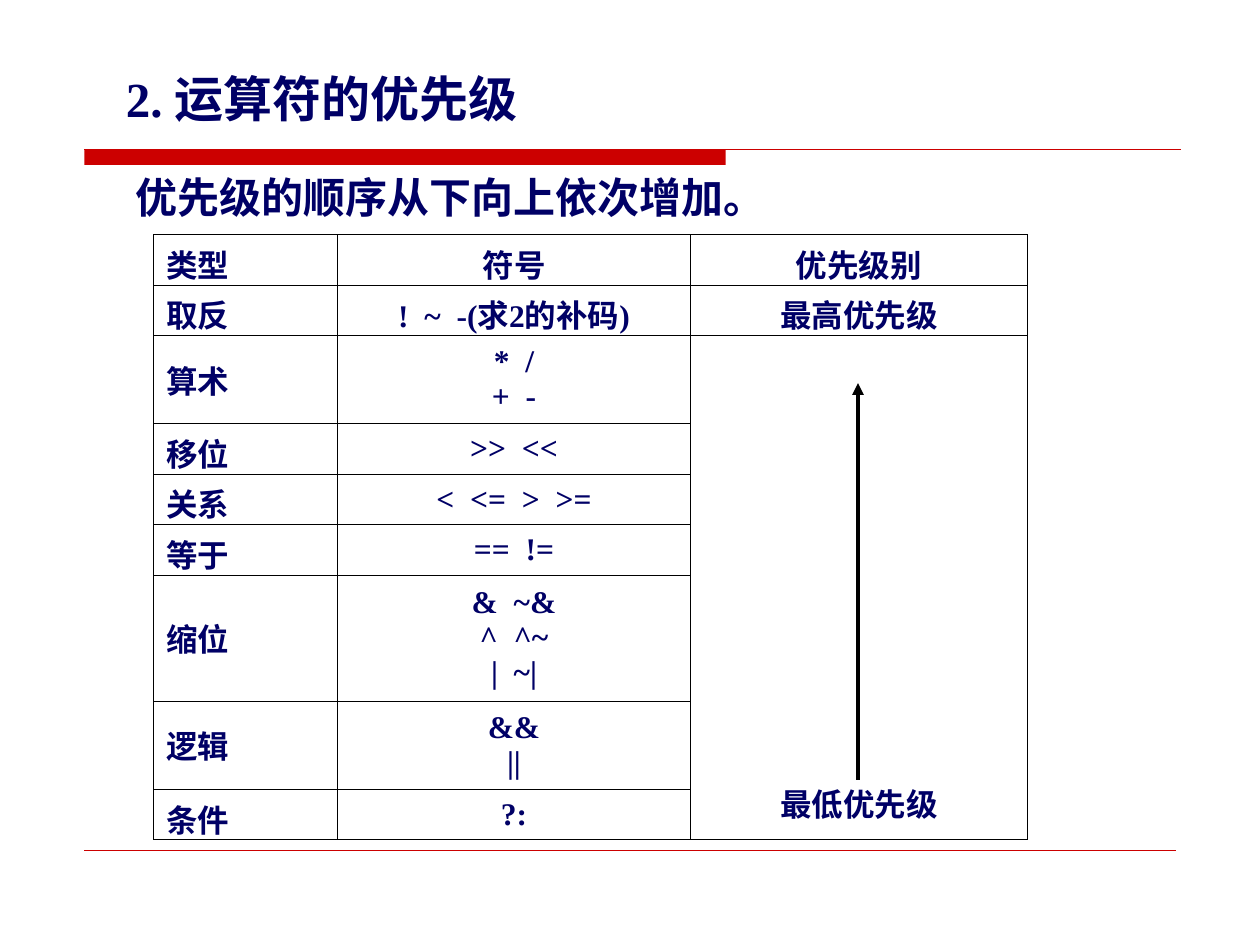
"""Build a slide with a table of operator precedence."""
from dataclasses import dataclass

import lxml.etree
import pptx
import pptx.dml.color
import pptx.enum.shapes
import pptx.enum.text
import pptx.oxml.ns
import pptx.util

Pt = pptx.util.Pt
Align = pptx.enum.text.PP_ALIGN
Anchor = pptx.enum.text.MSO_ANCHOR
qn = pptx.oxml.ns.qn

COLORS = {"navy": "000066", "red": "CC0000", "black": "000000"}
FONT = "Times New Roman"
COLUMN_WIDTHS = (105, 201.75, 192.25)
BORDER_WIDTH = 0.45
WIDE_SPACE = 4.5


@dataclass(frozen=True)
class OperatorRow:
    kind: str
    symbols: tuple[str, ...]
    height: float = 28.8
    level: str = ""
    kind_anchor: Anchor = Anchor.MIDDLE
    symbol_anchor: Anchor = Anchor.MIDDLE


@dataclass(frozen=True)
class Rule:
    start: tuple[float, float]
    end: tuple[float, float]
    color: str
    width: float
    arrow: bool = False


ROWS = (
    OperatorRow("类型", ("符号",), level="优先级别", kind_anchor=Anchor.TOP, symbol_anchor=Anchor.TOP),
    OperatorRow("取反", ("! ~ -(求2的补码)",), level="最高优先级", kind_anchor=Anchor.TOP),
    OperatorRow("算术", ("* /", "+ -"), 50.4, level="最低优先级"),
    OperatorRow("移位", (">> <<",)),
    OperatorRow("关系", ("< <= > >=",)),
    OperatorRow("等于", ("== !=",)),
    OperatorRow("缩位", ("& ~&", "^ ^~", "| ~|"), 72),
    OperatorRow("逻辑", ("&&", "||"), 50.4),
    OperatorRow("条件", ("?:",)),
)
RULES = (
    Rule((48.25, 85.5), (674.65, 85.5), "red", 0.75),
    Rule((48.25, 486), (671.75, 486), "red", 0.25),
)
ARROW = Rule((490.3, 445.7), (490.3, 218.9), "black", 2.25, arrow=True)


def rgb(name: str) -> pptx.dml.color.RGBColor:
    """Return the named colour."""
    return pptx.dml.color.RGBColor.from_string(COLORS[name])


def add_span(para, text: str, size: float, spacing: float = 0) -> None:
    """Append one formatted span to a paragraph."""
    span = para.add_run()
    span.text = text
    span.font.name, span.font.size, span.font.bold = FONT, Pt(size), True
    span.font.color.rgb = rgb("navy")
    if spacing:
        span.font._element.set("spc", str(round(spacing * 100)))


def write(frame, *lines: str, size: float = 18, align: Align = Align.LEFT, space: float = 0) -> None:
    """Write lines as paragraphs, widening the spaces between words on request."""
    for index, line in enumerate(lines):
        para = frame.paragraphs[0] if index == 0 else frame.add_paragraph()
        para.alignment = align
        words = line.split(" ") if space else [line]
        for position, word in enumerate(words):
            if position:
                add_span(para, " ", size, space)
            add_span(para, word, size)


def add_label(page, text: str, left: float, top: float, width: float, height: float, size: float) -> None:
    """Add a heading text box."""
    box = page.shapes.add_textbox(Pt(left), Pt(top), Pt(width), Pt(height))
    frame = box.text_frame
    frame.word_wrap = True
    frame.auto_size = pptx.enum.text.MSO_AUTO_SIZE.SHAPE_TO_FIT_TEXT
    frame.vertical_anchor = Anchor.MIDDLE
    write(frame, text, size=size)


def add_rule(page, rule: Rule) -> None:
    """Add a straight line, with an arrowhead if asked."""
    line = page.shapes.add_connector(
        pptx.enum.shapes.MSO_CONNECTOR.STRAIGHT, *map(Pt, rule.start + rule.end))
    line.line.color.rgb = rgb(rule.color)
    line.line.width = Pt(rule.width)
    if rule.arrow:
        lxml.etree.SubElement(line.line._get_or_add_ln(), qn("a:tailEnd"), type="triangle")
    lxml.etree.SubElement(line._element.spPr, qn("a:effectLst"))


def add_bar(page) -> None:
    """Add the thick red bar below the title."""
    bar = page.shapes.add_shape(
        pptx.enum.shapes.MSO_SHAPE.RECTANGLE, Pt(48.25), Pt(85.5), Pt(366.5), Pt(8.75))
    bar.shadow.inherit = False
    bar.fill.solid()
    bar.fill.fore_color.rgb = rgb("red")
    bar.line.fill.background()


def style_cell(cell) -> None:
    """Give a cell thin black borders and no fill."""
    properties = cell._tc.get_or_add_tcPr()
    for side in ("a:lnL", "a:lnR", "a:lnT", "a:lnB"):
        border = lxml.etree.SubElement(properties, qn(side), w=str(Pt(BORDER_WIDTH)))
        fill = lxml.etree.SubElement(border, qn("a:solidFill"))
        lxml.etree.SubElement(fill, qn("a:srgbClr"), val=COLORS["black"])
    cell.fill.background()


def add_operator_table(page) -> None:
    """Add the table of operators from highest to lowest precedence."""
    total_height = sum(row.height for row in ROWS)
    table = page.shapes.add_table(
        len(ROWS), len(COLUMN_WIDTHS), Pt(87.85), Pt(134),
        Pt(sum(COLUMN_WIDTHS)), Pt(total_height)).table
    table.first_row = table.horz_banding = False
    for column, width in zip(table.columns, COLUMN_WIDTHS):
        column.width = Pt(width)
    for cell in table.iter_cells():
        style_cell(cell)
    table.cell(2, 2).merge(table.cell(len(ROWS) - 1, 2))
    for index, row in enumerate(ROWS):
        table.rows[index].height = Pt(row.height)
        kind, symbols, level = (table.cell(index, column) for column in range(3))
        kind.vertical_anchor = row.kind_anchor
        symbols.vertical_anchor = row.symbol_anchor
        write(kind.text_frame, row.kind)
        write(symbols.text_frame, *row.symbols, align=Align.CENTER, space=WIDE_SPACE)
        if row.level:
            write(level.text_frame, row.level, align=Align.CENTER)
    lowest = table.cell(2, 2)
    lowest.vertical_anchor = Anchor.BOTTOM
    lowest.margin_bottom = Pt(8)


def main() -> None:
    """Build and save the deck."""
    deck = pptx.Presentation()
    deck.slide_width, deck.slide_height = Pt(720), Pt(540)
    page = deck.slides.add_slide(deck.slide_layouts[6])
    add_bar(page)
    for rule in RULES:
        add_rule(page, rule)
    add_label(page, "2. 运算符的优先级", 64.8, 35.3, 272.2, 41, 28)
    add_label(page, "优先级的顺序从下向上依次增加。", 70.55, 94.3, 541.45, 36, 24)
    add_rule(page, ARROW)
    add_operator_table(page)
    deck.save("out.pptx")


if __name__ == "__main__":
    main()
